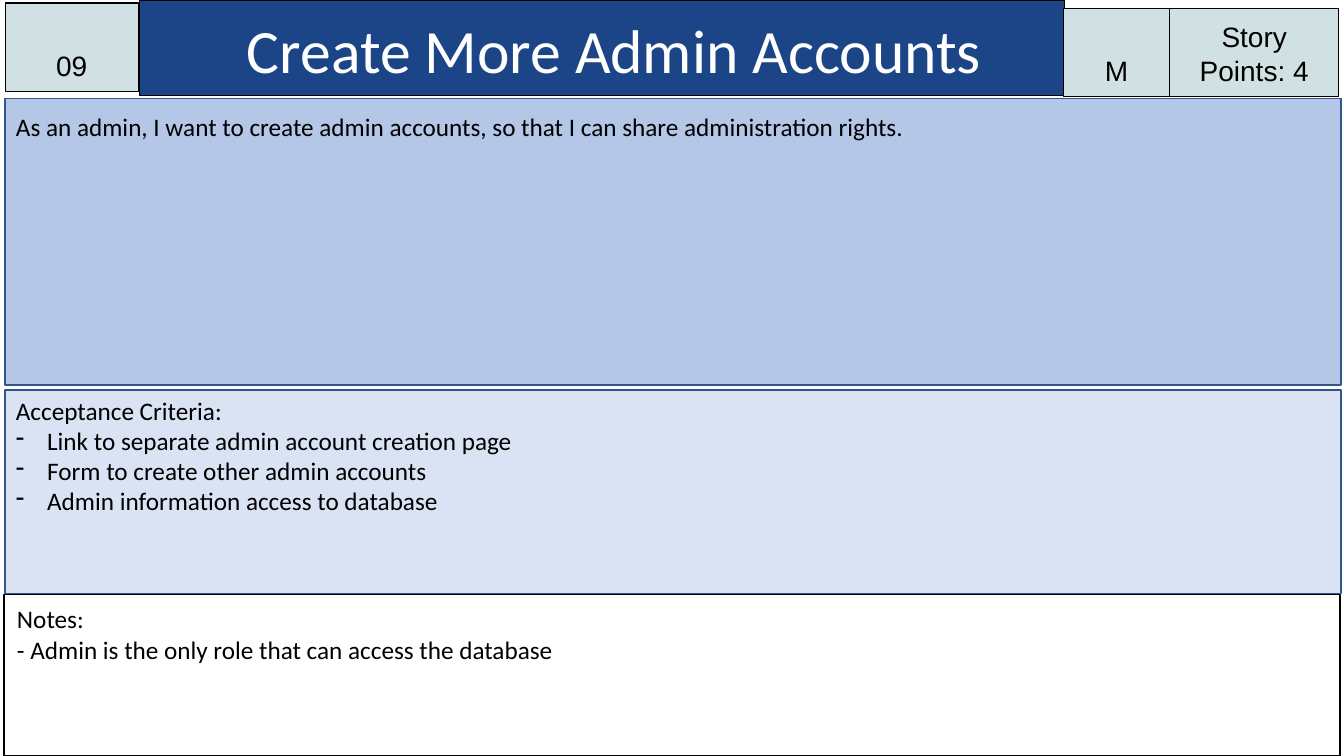
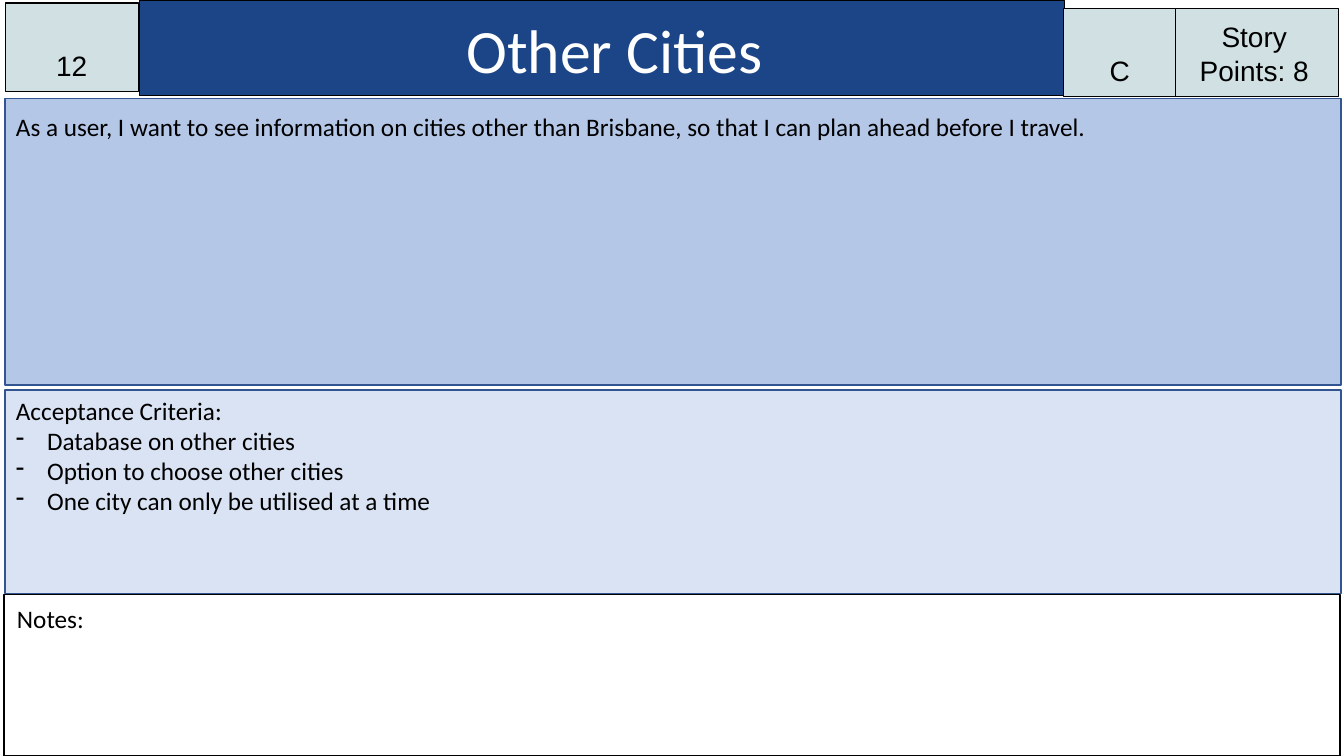
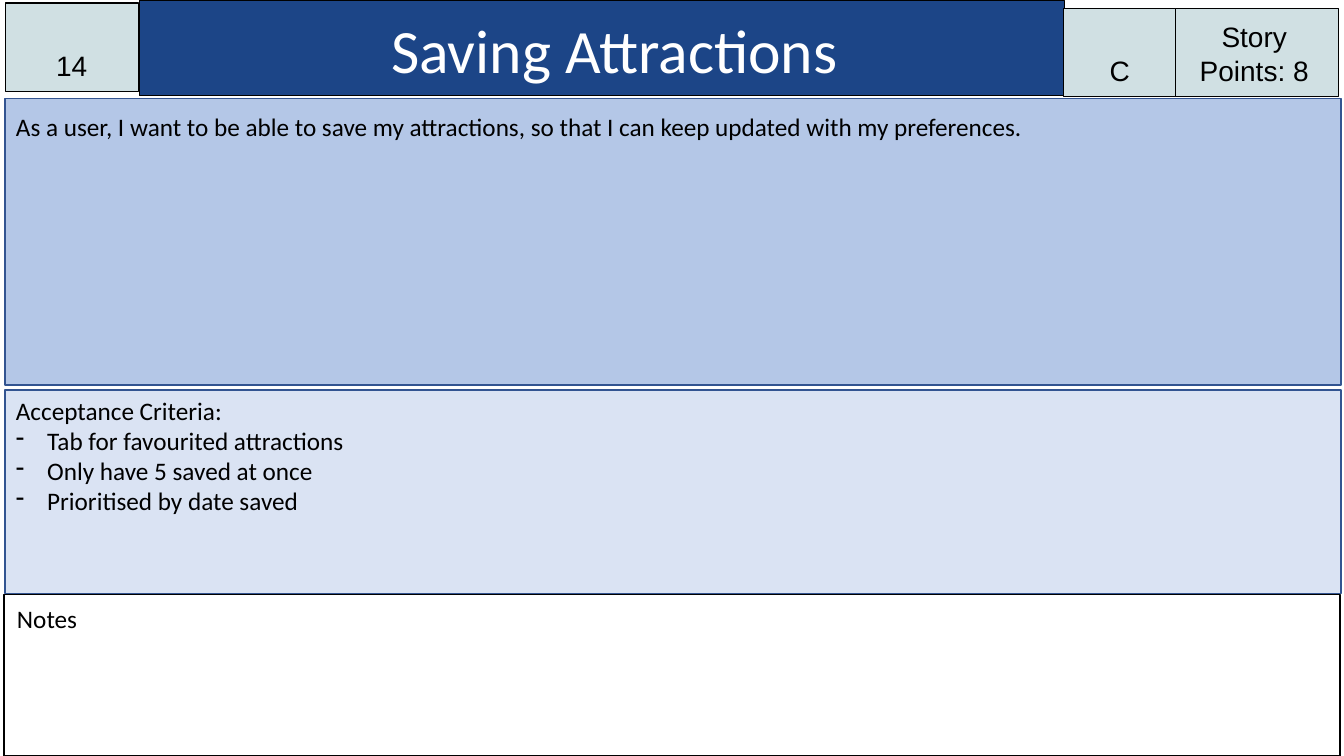
from dataclasses import dataclass
from lxml import etree
from pptx import Presentation
from pptx.dml.color import RGBColor
from pptx.enum.shapes import MSO_SHAPE as SHAPE
from pptx.enum.text import MSO_ANCHOR as ANCHOR, PP_ALIGN as ALIGN
from pptx.oxml.ns import qn
from pptx.util import Inches, Pt


@dataclass(frozen=True)
class Theme:
    navy: str = "1C4587"
    teal: str = "D0E0E3"
    story: str = "B4C7E7"
    criteria: str = "DAE3F3"
    border: str = "325491"
    black: str = "000000"
    white: str = "FFFFFF"
    heading_font: str = "Calibri"
    badge_font: str = "Arial"
    title_size: int = 44
    badge_size: int = 20
    body_size: int = 18


@dataclass(frozen=True)
class Card:
    number: str
    title: str
    priority: str
    points: int
    story: str
    criteria: tuple
    notes: tuple
    priority_width: float = 1.11


T = Theme()

CARDS = [
    Card("09", "Create More Admin Accounts", "M", 4,
         "As an admin, I want to create admin accounts, so that I can share administration rights.",
         ("Link to separate admin account creation page",
          "Form to create other admin accounts",
          "Admin information access to database"),
         ("Notes:", "- Admin is the only role that can access the database"),
         priority_width=1.05),
    Card("12", "Other Cities", "C", 8,
         "As a user, I want to see information on cities other than Brisbane, "
         "so that I can plan ahead before I travel.",
         ("Database on other cities",
          "Option to choose other cities",
          "One city can only be utilised at a time"),
         ("Notes:",)),
    Card("14", "Saving Attractions", "C", 8,
         "As a user, I want to be able to save my attractions, "
         "so that I can keep updated with my preferences.",
         ("Tab for favourited attractions",
          "Only have 5 saved at once",
          "Prioritised by date saved"),
         ("Notes",)),
]


def add_text(tf, text, size=T.body_size, font=T.heading_font, color=T.black,
             align=ALIGN.LEFT, margin=0, indent=0, bullet=None):
    """Write one paragraph, using the empty first one if there is one."""
    p = tf.paragraphs[0]
    if p.runs:
        p = tf.add_paragraph()
    p.alignment = align
    pPr = p._p.get_or_add_pPr()
    pPr.set("marL", str(Inches(margin)))
    pPr.set("indent", str(Inches(indent)))
    if bullet:
        etree.SubElement(pPr, qn("a:buChar")).set("char", bullet)
    r = p.add_run()
    r.text = text
    r.font.size = Pt(size)
    r.font.name = font
    r.font.color.rgb = RGBColor.from_string(color)


def add_panel(s, box, fill, line, width):
    sp = s.shapes.add_shape(SHAPE.RECTANGLE, *map(Inches, box))
    sp.shadow.inherit = False
    sp.fill.solid()
    sp.fill.fore_color.rgb = RGBColor.from_string(fill)
    sp.line.color.rgb = RGBColor.from_string(line)
    sp.line.width = Pt(width)
    return sp


def add_header_cell(s, box, text, fill=T.teal, **fmt):
    """Outlined cell whose text is centred and sits at the bottom."""
    tf = add_panel(s, box, fill, T.black, 0.75).text_frame
    tf.word_wrap = True
    tf.vertical_anchor = ANCHOR.BOTTOM
    tf.margin_left = tf.margin_right = tf.margin_top = tf.margin_bottom = Inches(0.1)
    add_text(tf, text, align=ALIGN.CENTER, **fmt)


def add_text_box(s, box):
    tf = s.shapes.add_textbox(*map(Inches, box)).text_frame
    tf.word_wrap = True
    return tf


def add_header(s, box, card):
    x, y, w, h = box
    badge = dict(size=T.badge_size, font=T.badge_font)
    points_w, cell_h = 1.68, 0.88
    points_x = x + w - points_w
    add_header_cell(s, (x + 1.33, y, 9.18, h), card.title, fill=T.navy,
                    size=T.title_size, color=T.white, indent=0.25)
    add_header_cell(s, (points_x, y + 0.07, points_w, cell_h),
                    f"Story Points: {card.points}", **badge)
    add_header_cell(s, (points_x - 1.05, y + 0.07, card.priority_width, cell_h),
                    card.priority, **badge)
    add_header_cell(s, (x, y + 0.02, 1.32, cell_h), card.number, **badge)


def add_story(s, box, card):
    x, y, w, _ = box
    add_panel(s, box, T.story, T.border, 1)
    add_text(add_text_box(s, (x + 0.01, y + 0.08, w - 0.24, 0.4)), card.story)


def add_criteria(s, box, card):
    x, y, w, _ = box
    add_panel(s, box, T.criteria, T.border, 1)
    tf = add_text_box(s, (x + 0.01, y, w - 0.02, 1.31))
    add_text(tf, "Acceptance Criteria:")
    for item in card.criteria:
        add_text(tf, item, margin=0.31, indent=-0.31, bullet="-")


def add_notes(s, box, card):
    x, y, w, _ = box
    add_panel(s, box, T.white, T.black, 1)
    tf = add_text_box(s, (x + 0.03, y + 0.04, w - 0.03, 0.1 + 0.3 * len(card.notes)))
    for line in card.notes:
        add_text(tf, line)


def add_card(prs, card):
    s = prs.slides.add_slide(prs.slide_layouts[6])
    add_header(s, (0.05, 0.01, 13.23, 0.94), card)
    add_story(s, (0.05, 0.98, 13.25, 2.84), card)
    add_criteria(s, (0.05, 3.87, 13.25, 2.02), card)
    add_notes(s, (0.04, 5.9, 13.25, 1.6), card)


def main():
    prs = Presentation()
    prs.slide_width, prs.slide_height = Inches(13.33), Inches(7.5)
    for card in CARDS:
        add_card(prs, card)
    prs.save("out.pptx")


if __name__ == "__main__":
    main()
